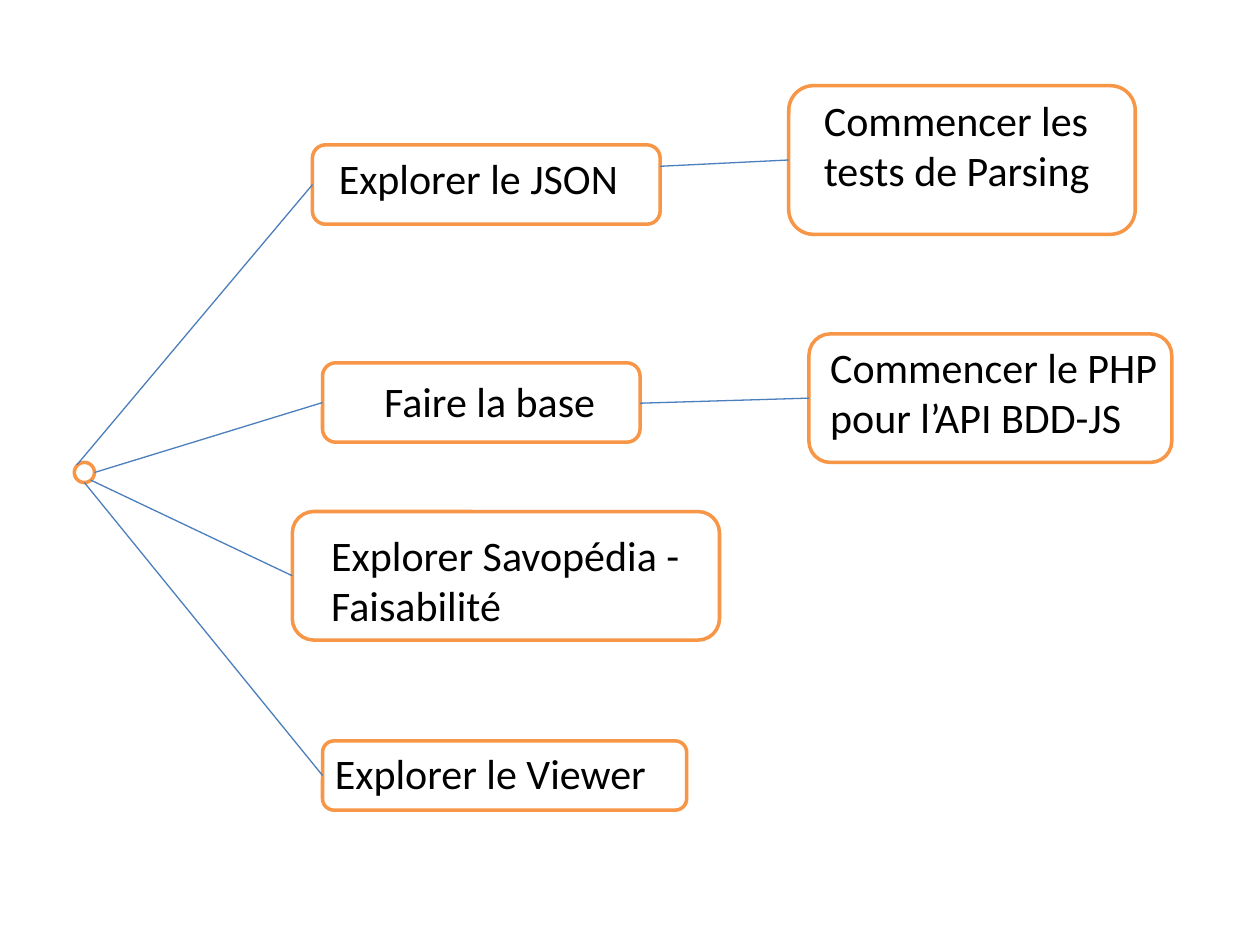
from lxml import etree
from pptx import Presentation
from pptx import util as u
from pptx.dml.color import RGBColor
from pptx.enum import shapes, text
from pptx.oxml import ns

COLORS = {"box": "F79646", "link": "4B7EBC", "paper": "FFFFFF", "ink": "000000"}
FONT = "Calibri"
CELL = 0.1  # inches per grid column and row

# name: (box in grid units, label offset from the box, label width, wording)
TASKS = {
    "json": ((24.8, 11.5, 27.6, 6.3), (1.1, 0.1), 26.5, "Explorer le JSON"),
    "tests": ((62.6, 6.8, 27.5, 11.8), (1.8, 0.2), 28.5,
              "Commencer les tests de Parsing"),
    "base": ((25.6, 28.8, 25.2, 6.3), (3.9, 0.5), 18.9, "Faire la base"),
    "php": ((64.2, 26.5, 28.8, 10.2), (0.7, 0.1), 32.3,
            "Commencer le PHP pour l’API BDD-JS"),
    "wiki": ((23.2, 40.6, 33.9, 10.2), (2.1, 0.9), 31.8,
             "Explorer Savopédia - Faisabilité"),
    "viewer": ((25.6, 58.8, 28.9, 5.5), (0, 0), 27.6, "Explorer le Viewer"),
}
START = (5.9, 36.7, 1.6, 1.6)
# task: point on the start circle where its link leaves
BRANCHES = {"json": (6.1, 36.9), "base": (7.5, 37.5),
            "wiki": (7.2, 38.1), "viewer": (6.7, 38.3)}


def grid(*values):
    """Turn grid units into slide lengths."""
    return [u.Inches(v * CELL) for v in values]


def color(name):
    """Look up a colour by its role."""
    return RGBColor.from_string(COLORS[name])


def add_outline(s, kind, place):
    """Draw a white shape with an orange outline."""
    sp = s.shapes.add_shape(kind, *grid(*place))
    sp.shadow.inherit = False
    sp.fill.solid()
    sp.fill.fore_color.rgb = color("paper")
    sp.line.color.rgb = color("box")
    sp.line.width = u.Pt(2)
    return sp


def add_text(s, wording, place, size=24, ink="ink", align=text.PP_ALIGN.LEFT):
    """Place a wrapping text box."""
    tf = s.shapes.add_textbox(*grid(*place)).text_frame
    tf.word_wrap = True
    p = tf.paragraphs[0]
    p.alignment = align
    r = p.add_run()
    r.text = wording
    r.font.name = FONT
    r.font.size = u.Pt(size)
    r.font.color.rgb = color(ink)


def add_task(s, box, offset, width, wording):
    """Draw a rounded task box with its label."""
    add_outline(s, shapes.MSO_SHAPE.ROUNDED_RECTANGLE, box)
    add_text(s, wording, (box[0] + offset[0], box[1] + offset[1], width, 4))


def add_link(s, start, end):
    """Draw a thin blue line between two points."""
    line = s.shapes.add_connector(shapes.MSO_CONNECTOR.STRAIGHT,
                                  *grid(*start, *end))
    line.line.color.rgb = color("link")
    line.line.width = u.Pt(0.75)
    etree.SubElement(line._element.spPr, ns.qn("a:effectLst"))


def left_middle(name):
    """Give the middle of a task's left edge."""
    x, y, _, h = TASKS[name][0]
    return x, y + h / 2


def right_edge(name, y):
    """Give the point on a task's right edge at height y."""
    x, _, w, _ = TASKS[name][0]
    return x + w, y


def main():
    """Build the task tree."""
    prs = Presentation()
    prs.slide_width, prs.slide_height = grid(100, 75)
    s = prs.slides.add_slide(prs.slide_layouts[6])
    for task in TASKS.values():
        add_task(s, *task)
    add_link(s, right_edge("json", 13.2), left_middle("tests"))
    add_link(s, right_edge("base", 32), left_middle("php"))
    add_outline(s, shapes.MSO_SHAPE.OVAL, START)
    for name, origin in BRANCHES.items():
        add_link(s, origin, left_middle(name))
    prs.save("out.pptx")


main()
